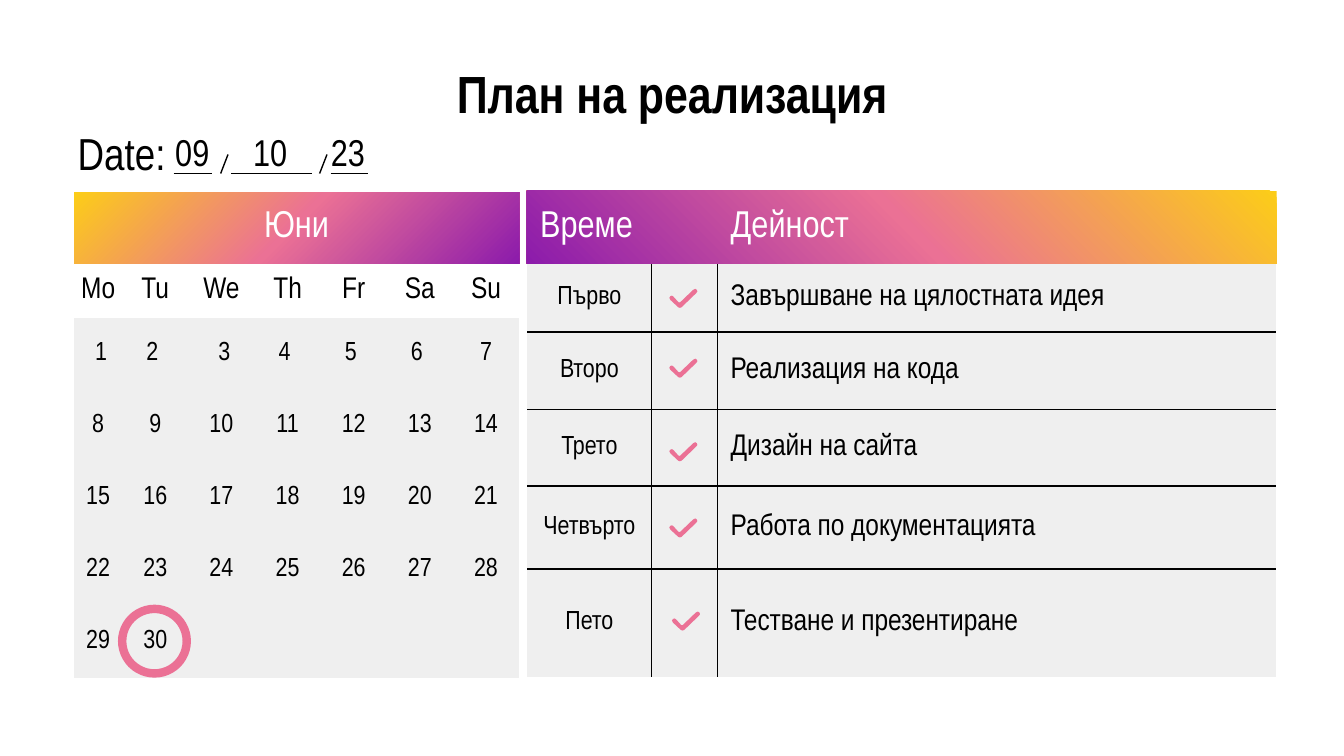
from copy import deepcopy

from lxml.etree import SubElement
from pptx import Presentation
from pptx.dml.color import RGBColor as RGB
from pptx.enum.shapes import MSO_CONNECTOR as Conn, MSO_SHAPE as Shape
from pptx.enum.text import MSO_ANCHOR as Anchor, PP_ALIGN as Align
from pptx.oxml import parse_xml
from pptx.oxml.ns import nsdecls, qn
from pptx.util import Cm, Pt

FONT = "Arial Narrow"
BLACK = RGB(0x00, 0x00, 0x00)
WHITE = RGB(0xFF, 0xFF, 0xFF)
GRAY = RGB(0xEF, 0xEF, 0xEF)
PINK = RGB(0xEB, 0x71, 0x95)
YELLOW = RGB(0xFC, 0xCD, 0x18)
PURPLE = RGB(0x8C, 0x1B, 0xAB)
NO_STYLE = "{2D5ABB26-0587-4C30-8999-92F81FD0307C}"

DAYS = ["Mo", "Tu", "We", "Th", "Fr", "Sa", "Su"]
# No-break spaces nudge the single digits of the first week
FIRST_WEEK = [" 1", "2 ", " 3", "4 ", "5 ", "6 ", "7"]
STAGES = [
    ("Първо", "Завършване на цялостната идея"),
    ("Второ", "Реализация на кода"),
    ("Трето", "Дизайн на сайта"),
    ("Четвърто", "Работа по документацията"),
    ("Пето", "Тестване и презентиране"),
]
# Tick outline in hundredths of a centimetre
TICK = [(49, 0), (45, 2), (21, 25), (19, 26), (17, 25), (8, 15), (5, 13),
        (2, 14), (0, 17), (2, 21), (17, 35), (20, 36), (23, 35), (51, 8),
        (53, 5), (52, 2)]
TICK_SPOTS = [(12.65, 5.46), (12.65, 6.78), (12.65, 8.36), (12.65, 9.8),
              (12.7, 11.56)]


def write(tf, text, size=14, color=BLACK, bold=False, align=Align.LEFT):
    p = tf.paragraphs[0]
    p.alignment = align
    r = p.add_run()
    r.text = text
    r.font.name, r.font.size, r.font.bold = FONT, Pt(size), bold
    r.font.color.rgb = color


def set_frame(frame, margin=0.25, anchor=Anchor.MIDDLE):
    """Set insets and anchor of a text frame or a table cell."""
    frame.margin_left = frame.margin_right = Cm(margin)
    frame.margin_top = frame.margin_bottom = Cm(margin)
    frame.vertical_anchor = anchor


def fill_solid(fill, color):
    fill.solid()
    fill.fore_color.rgb = color


def fill_gradient(fill, element, angle):
    fill.gradient()
    fill.gradient_angle = angle
    stops = next(element.iter(qn("a:gsLst")))
    stops.append(deepcopy(stops[0]))
    for stop, pos, color in zip(fill.gradient_stops, (0, 0.49, 1),
                                (YELLOW, PINK, PURPLE)):
        stop.position = pos
        stop.color.rgb = color


def add_outline(shapes, points, x, y):
    """Closed outline; points are in hundredths of a centimetre."""
    builder = shapes.build_freeform(*points[0], scale=Cm(0.01))
    builder.add_line_segments(points[1:], close=True)
    sp = builder.convert_to_shape(Cm(x), Cm(y))
    sp.shadow.inherit = False
    sp.line.fill.background()
    return sp


def add_grid(shapes, x, y, widths, heights):
    """Plain table without style, banding or borders."""
    frame = shapes.add_table(len(heights), len(widths), Cm(x), Cm(y),
                             Cm(sum(widths)), Cm(sum(heights)))
    tbl = frame.table
    tbl.first_row = tbl.horz_banding = False
    frame._element.find(".//" + qn("a:tableStyleId")).text = NO_STYLE
    for col, width in zip(tbl.columns, widths):
        col.width = Cm(width)
    for row, height in zip(tbl.rows, heights):
        row.height = Cm(height)
    return tbl


def set_borders(cell, sides):
    """Draw thin black lines on the sides named by letters of LRTB."""
    tc_pr = cell._tc.get_or_add_tcPr()
    for i, side in enumerate(sides):
        tc_pr.insert(i, parse_xml(
            f'<a:ln{side} {nsdecls("a")} w="{Pt(0.75)}"><a:solidFill>'
            f'<a:srgbClr val="{BLACK}"/></a:solidFill></a:ln{side}>'))


def add_line(shapes, x1, y1, x2, y2):
    line = shapes.add_connector(Conn.STRAIGHT, Cm(x1), Cm(y1), Cm(x2), Cm(y2))
    line.line.color.rgb = BLACK
    line.line.width = Pt(0.75)
    SubElement(line._element.spPr, qn("a:effectLst"))


def add_label(shapes, text, x, y, w, h, **fmt):
    tf = shapes.add_textbox(Cm(x), Cm(y), Cm(w), Cm(h)).text_frame
    tf.word_wrap = True
    set_frame(tf)
    write(tf, text, **fmt)


def add_title(slide):
    title = slide.shapes.title
    title.left, title.top = Cm(1.22), Cm(0.91)
    title.width, title.height = Cm(22.96), Cm(1.6)
    set_frame(title.text_frame, anchor=Anchor.TOP)
    write(title.text_frame, "План на реализация", size=28, bold=True,
          align=Align.CENTER)


def add_schedule(shapes):
    # Gradient band behind the transparent header row
    band = add_outline(shapes, [(0, 0), (1417, 0), (1417, 137), (0, 137)],
                       9.96, 3.61)
    fill_gradient(band.fill, band._element, 225)

    tbl = add_grid(shapes, 9.96, 3.61, [2.36, 1.24, 3.48] * 2,
                   [1.39, 1.26, 1.47, 1.44, 1.57, 2.04])
    for col, text in ((0, "Време"), (2, "Дейност")):
        write(tbl.cell(0, col).text_frame, text, size=20, color=WHITE)
    for row, (stage, task) in enumerate(STAGES, 1):
        tbl.cell(row, 2).merge(tbl.cell(row, 5))
        write(tbl.cell(row, 0).text_frame, stage, align=Align.CENTER)
        write(tbl.cell(row, 2).text_frame, task, size=16)
        for col in range(6):
            cell = tbl.cell(row, col)
            fill_solid(cell.fill, GRAY)
            # Inner edges only
            set_borders(cell, ("L" if col in (1, 2) else "")
                        + ("R" if col < 2 else "")
                        + ("T" if row > 1 else "")
                        + ("B" if row < len(STAGES) else ""))
    for cell in tbl.iter_cells():
        set_frame(cell)


def add_calendar(shapes):
    tbl = add_grid(shapes, 1.4, 3.63, [0.91] + [1.25] * 6,
                   [1.36, 1.02] + [1.36] * 5)
    for cell in tbl.iter_cells():
        set_frame(cell, margin=0)
    month = tbl.cell(0, 0)
    month.merge(tbl.cell(0, 6))
    fill_gradient(month.fill, month._tc, 315)
    write(month.text_frame, "Юни", size=20, color=WHITE, align=Align.CENTER)

    dates = FIRST_WEEK + [str(day) for day in range(8, 31)]
    for col, day in enumerate(DAYS):
        cell = tbl.cell(1, col)
        fill_solid(cell.fill, WHITE)
        write(cell.text_frame, day, size=16, align=Align.CENTER)
    for i in range(35):
        cell = tbl.cell(2 + i // 7, i % 7)
        fill_solid(cell.fill, GRAY)
        if i < len(dates):
            write(cell.text_frame, dates[i], align=Align.CENTER)


def add_marks(shapes):
    for x, y in TICK_SPOTS:
        fill_solid(add_outline(shapes, TICK, x, y).fill, PINK)
    # Ring around the last day
    ring = shapes.add_shape(Shape.OVAL, Cm(2.31), Cm(11.51), Cm(1.22), Cm(1.22))
    ring.shadow.inherit = False
    ring.fill.background()
    ring.line.color.rgb = PINK
    ring.line.width = Pt(4.5)


def add_date(shapes):
    group = shapes.add_group_shape().shapes
    add_label(group, "Date:", 1.22, 2.54, 2.41, 0.69, size=24)
    for x1, x2 in ((3.28, 4.01), (4.37, 5.89), (6.25, 6.96)):
        add_line(group, x1, 3.28, x2, 3.28)
    for x in (4.17, 6.04):
        add_line(group, x + 0.14, 2.92, x, 3.28)
    for text, x, w in (("09", 3.05, 1.17), ("10", 4.09, 2.03),
                       ("23", 5.99, 1.17)):
        add_label(group, text, x, 2.49, w, 0.76, size=20, align=Align.CENTER)


def main():
    prs = Presentation()
    prs.slide_width, prs.slide_height = Cm(25.4), Cm(14.29)
    slide = prs.slides.add_slide(prs.slide_layouts[5])
    add_title(slide)
    add_schedule(slide.shapes)
    add_calendar(slide.shapes)
    add_marks(slide.shapes)
    add_date(slide.shapes)
    prs.save("out.pptx")


if __name__ == "__main__":
    main()
